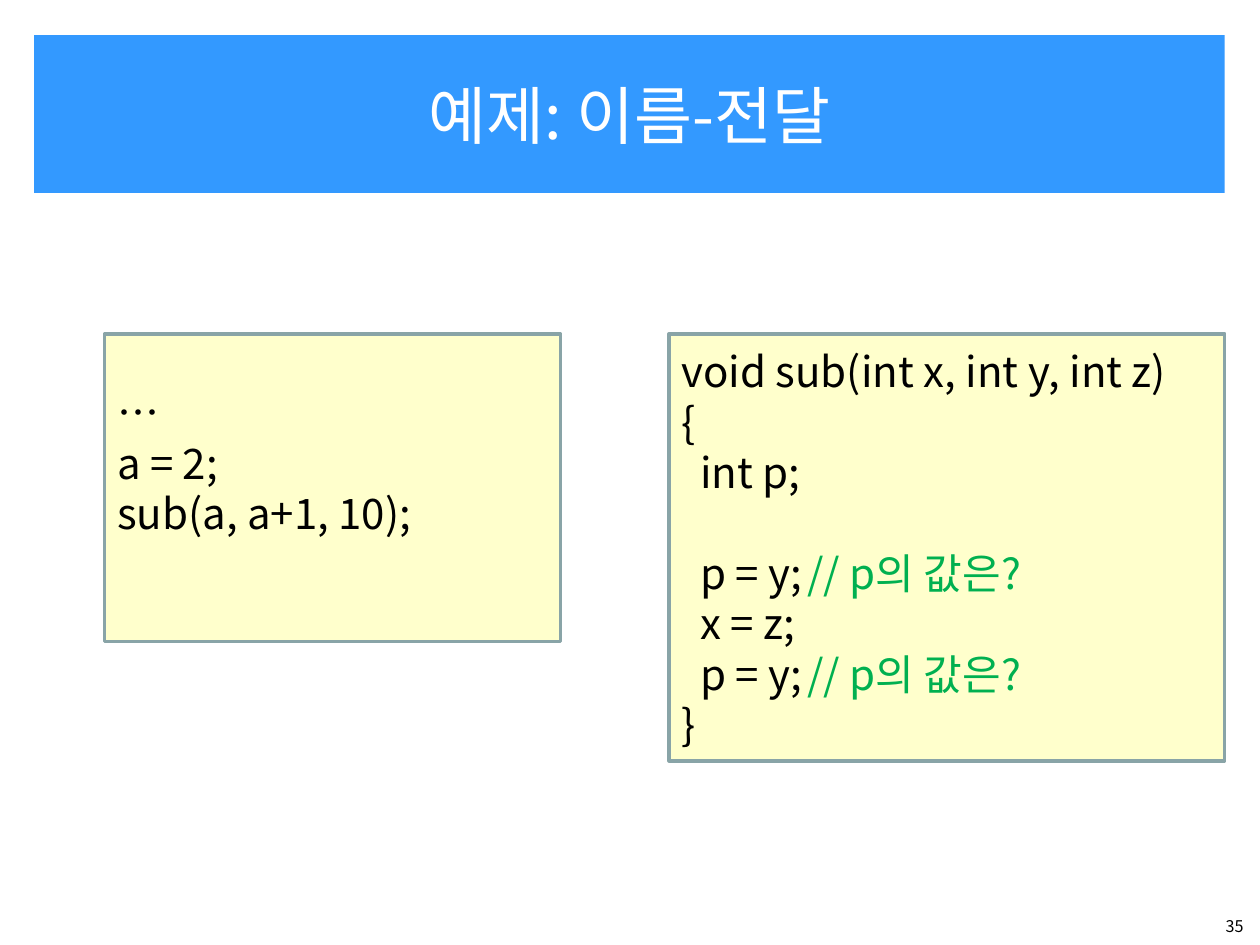
import pptx
import pptx.dml.color
import pptx.enum.text
import pptx.util
from lxml import etree
from pptx.enum.shapes import MSO_SHAPE
from pptx.oxml.ns import qn

Cm, Pt = pptx.util.Cm, pptx.util.Pt
ALIGN, ANCHOR = pptx.enum.text.PP_ALIGN, pptx.enum.text.MSO_ANCHOR

# Content: each code line is (code, comment, blank lines above it)
HEADING = "예제: 이름-전달"
PAGE_NUMBER = "35"
QUESTION = "// p의 값은?"
CALLER = [("…", "", 0), ("a = 2;", "", 0), ("sub(a, a+1, 10);", "", 0)]
CALLEE = [
    ("void sub(int x, int y, int z)", "", 0),
    ("{", "", 0),
    ("  int p;", "", 0),
    ("  p = y;\t", QUESTION, 1),
    ("  x = z;", "", 0),
    ("  p = y;\t", QUESTION, 0),
    ("}", "", 0),
]

# Code panels: lines, left, width, height, blank lines at the end
PANELS = [(CALLER, 2.11, 9.19, 6.2, 1), (CALLEE, 13.49, 11.2, 8.61, 0)]
PANEL_TOP = 6.73
FONT = "Noto Sans CJK KR"
CODE_SIZE, LINE_PITCH = 24, 28.8
BLACK, WHITE, GREEN = "000000", "FFFFFF", "00B050"
BLUE, CREAM, GREY = "3399FF", "FFFFCC", "89A4A7"


def paint(color_format, color):
    color_format.rgb = pptx.dml.color.RGBColor.from_string(color)


def fill(shape, color):
    shape.fill.solid()
    paint(shape.fill.fore_color, color)


def style(run, size, color):
    run.font.size = Pt(size)
    run.font.name = FONT
    paint(run.font.color, color)
    etree.SubElement(run.font._element, qn("a:ea"), typeface=FONT)


def place(shape, left, top, width, height):
    shape.left, shape.top = Cm(left), Cm(top)
    shape.width, shape.height = Cm(width), Cm(height)


def write_code(frame, lines):
    for number, (code, comment, blanks) in enumerate(lines):
        line = frame.paragraphs[0] if number == 0 else frame.add_paragraph()
        line.alignment = ALIGN.LEFT
        line.line_spacing = Pt(LINE_PITCH)
        if blanks:
            line.space_before = Pt(blanks * LINE_PITCH)
        if comment:
            tabs = etree.SubElement(line._p.get_or_add_pPr(), qn("a:tabLst"))
            etree.SubElement(tabs, qn("a:tab"), pos=str(Cm(2.54)), algn="l")
        line.text = code
        style(line.runs[0], CODE_SIZE, BLACK)
        if comment:
            remark = line.add_run()
            remark.text = comment
            style(remark, CODE_SIZE, GREEN)


def main():
    deck = pptx.Presentation()
    deck.slide_width, deck.slide_height = Cm(25.4), Cm(19.05)
    slide = deck.slides.add_slide(deck.slide_layouts[5])

    # Title band
    title = slide.shapes.title
    place(title, 0.69, 0.71, 24, 3.18)
    fill(title, BLUE)
    title.text_frame.text = HEADING
    title.text_frame.auto_size = pptx.enum.text.MSO_AUTO_SIZE.NONE
    title.text_frame.vertical_anchor = ANCHOR.MIDDLE
    title.text_frame.paragraphs[0].alignment = ALIGN.CENTER
    style(title.text_frame.paragraphs[0].runs[0], 36, WHITE)

    # Page number
    page = slide.shapes.add_textbox(Cm(23.62), Cm(18.34), Cm(1.7), Cm(0.71))
    page.text_frame.word_wrap = True
    page.text_frame.text = PAGE_NUMBER
    page.text_frame.paragraphs[0].alignment = ALIGN.RIGHT
    style(page.text_frame.paragraphs[0].runs[0], 9.2, BLACK)

    # Code panels
    for lines, left, width, height, blanks_below in PANELS:
        panel = slide.shapes.add_shape(
            MSO_SHAPE.RECTANGLE, Cm(left), Cm(PANEL_TOP), Cm(width), Cm(height))
        panel.shadow.inherit = False
        fill(panel, CREAM)
        paint(panel.line.color, GREY)
        panel.line.width = Pt(2)
        frame = panel.text_frame
        frame.word_wrap = True
        frame.vertical_anchor = ANCHOR.MIDDLE
        frame.margin_bottom = Cm(0.13) + Pt(blanks_below * LINE_PITCH)
        write_code(frame, lines)

    deck.save("out.pptx")


if __name__ == "__main__":
    main()
